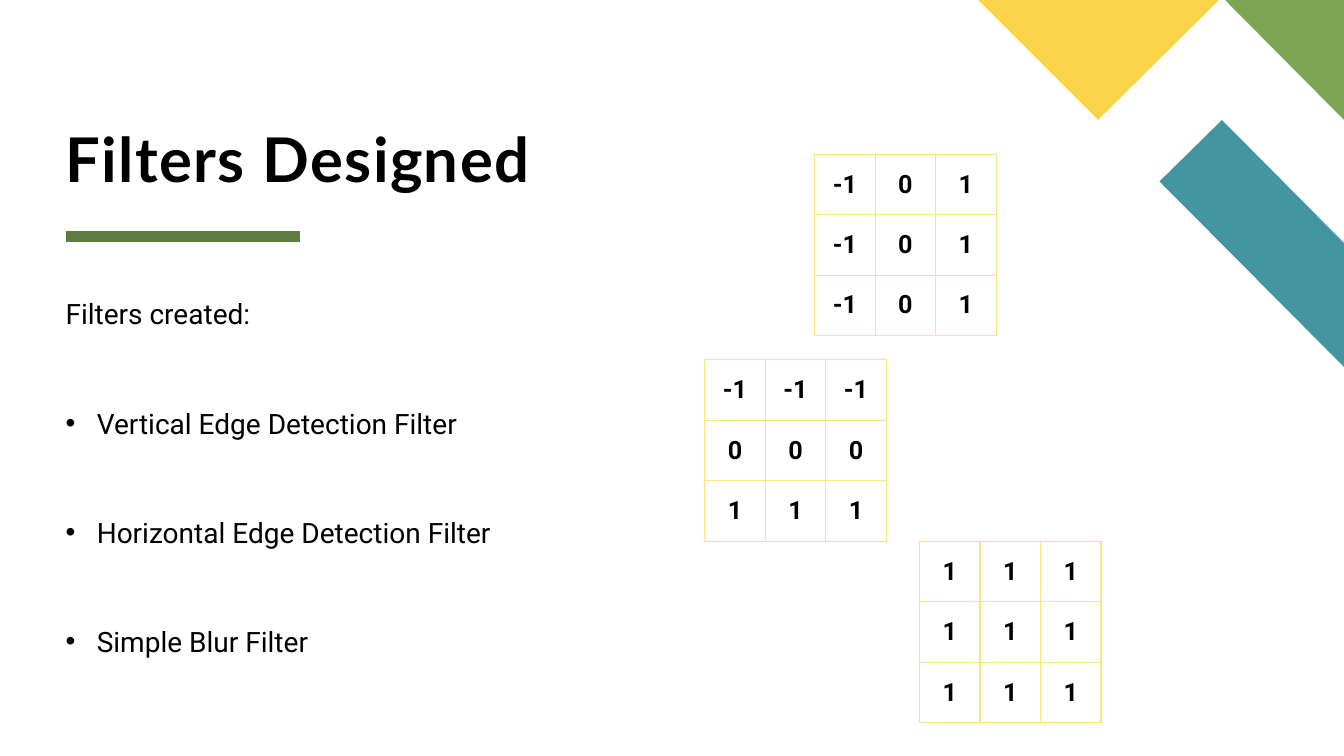
from lxml import etree
from pptx import Presentation
from pptx.dml.color import RGBColor
from pptx.enum.shapes import MSO_CONNECTOR
from pptx.enum.text import MSO_ANCHOR, MSO_AUTO_SIZE, PP_ALIGN
from pptx.oxml.ns import qn
from pptx.util import Inches, Pt

STRAIGHT = MSO_CONNECTOR.STRAIGHT
MIDDLE, BOTTOM = MSO_ANCHOR.MIDDLE, MSO_ANCHOR.BOTTOM
LEFT, CENTER = PP_ALIGN.LEFT, PP_ALIGN.CENTER
NO_AUTOFIT = MSO_AUTO_SIZE.NONE

BLACK = RGBColor(0x00, 0x00, 0x00)
WHITE = RGBColor(0xFF, 0xFF, 0xFF)
TEAL = RGBColor(0x44, 0x95, 0xA2)
GREEN = RGBColor(0x7C, 0xA6, 0x55)
DARK_GREEN = RGBColor(0x5D, 0x7D, 0x40)
YELLOW = RGBColor(0xF9, 0xD4, 0x48)
PALE_YELLOW = RGBColor(0xFB, 0xE2, 0x84)

WIDTH, HEIGHT = 13.33, 7.5
MARGIN = 0.65
CELL = 0.6
INDENT = 0.31

# Outlines in inches from the top left corner of the corner art
CORNER_LEFT = 9.7
CORNER_ART = [
    (TEAL, [(3.63, 3.64), (3.63, 2.41), (2.42, 1.19), (1.8, 1.8)]),
    (GREEN, [(3.63, 1.19), (3.63, 0), (2.45, 0)]),
    (YELLOW, [(0, 0), (1.19, 1.19), (2.39, 0)]),
]

FILTER_NAMES = ["Vertical Edge Detection Filter",
                "Horizontal Edge Detection Filter",
                "Simple Blur Filter"]

# Left, top and values of each filter kernel
KERNELS = [
    (6.99, 3.57, [[-1] * 3, [0] * 3, [1] * 3]),
    (8.08, 1.53, [[-1, 0, 1]] * 3),
    (9.12, 5.37, [[1] * 3] * 3),
]


def format_runs(para, font_name, size, bold=False):
    for span in para.runs:
        span.font.name = font_name
        span.font.size = Pt(size)
        span.font.bold = bold
        span.font.color.rgb = BLACK


def add_corner_art(page, left, top):
    for color, outline in CORNER_ART:
        points = [(Inches(left + x), Inches(top + y)) for x, y in outline]
        builder = page.shapes.build_freeform(*points[0], scale=1.0)
        builder.add_line_segments(points[1:], close=True)
        shape = builder.convert_to_shape()
        shape.shadow.inherit = False
        shape.fill.solid()
        shape.fill.fore_color.rgb = color
        shape.line.fill.background()


def add_title(page, left, top, width, height):
    title = page.shapes.title
    title.left, title.top = Inches(left), Inches(top)
    title.width, title.height = Inches(width), Inches(height)
    frame = title.text_frame
    frame.text = "Filters Designed"
    frame.word_wrap = True
    frame.auto_size = NO_AUTOFIT
    frame.vertical_anchor = BOTTOM
    frame.margin_left = frame.margin_right = 0
    frame.margin_top = frame.margin_bottom = 0
    para = frame.paragraphs[0]
    para.alignment = LEFT
    para.line_spacing = 0.8
    format_runs(para, "Lato", 44, bold=True)
    para.runs[0].font._element.set("spc", "100")


def add_rule(page, left, top, width):
    rule = page.shapes.add_connector(STRAIGHT, Inches(left), Inches(top),
                                     Inches(left + width), Inches(top))
    rule.line.color.rgb = DARK_GREEN
    rule.line.width = Pt(8)
    etree.SubElement(rule._element.spPr, qn("a:effectLst"))


def add_bullet(para):
    properties = para._p.get_or_add_pPr()
    properties.set("marL", str(Inches(INDENT)))
    properties.set("indent", str(-Inches(INDENT)))
    etree.SubElement(properties, qn("a:buFont"), typeface="Arial")
    etree.SubElement(properties, qn("a:buChar"), char="•")


def add_filter_list(page, left, top, width, height):
    box = page.shapes.add_textbox(Inches(left), Inches(top),
                                  Inches(width), Inches(height))
    frame = box.text_frame
    frame.word_wrap = True
    frame.margin_left = frame.margin_right = frame.margin_bottom = 0
    frame.margin_top = Inches(0.05)
    frame.text = "\n".join(["Filters created:"] + FILTER_NAMES)
    for index, para in enumerate(frame.paragraphs):
        para.line_spacing = 2.5 if index else 0.9
        para.space_before = Pt(18)
        format_runs(para, "Roboto", 20)
        if index:
            add_bullet(para)


def add_borders(cell):
    properties = cell._tc.get_or_add_tcPr()
    for side in ("lnL", "lnR", "lnT", "lnB"):
        line = etree.SubElement(properties, qn(f"a:{side}"), w=str(Pt(1)))
        fill = etree.SubElement(line, qn("a:solidFill"))
        etree.SubElement(fill, qn("a:srgbClr"), val=str(PALE_YELLOW))


def add_kernel(page, left, top, values):
    size = Inches(CELL * len(values))
    table = page.shapes.add_table(len(values), len(values[0]), Inches(left),
                                  Inches(top), size, size).table
    table.first_row = table.horz_banding = False
    for line in [*table.columns]:
        line.width = Inches(CELL)
    for row, numbers in zip(table.rows, values):
        row.height = Inches(CELL)
        for cell, number in zip(row.cells, numbers):
            add_borders(cell)
            cell.fill.solid()
            cell.fill.fore_color.rgb = WHITE
            cell.vertical_anchor = MIDDLE
            cell.text_frame.text = str(number)
            para = cell.text_frame.paragraphs[0]
            para.alignment = CENTER
            format_runs(para, "Roboto", 18, bold=True)


def build_filters_slide(deck):
    title_only = deck.slide_layouts[5]
    page = deck.slides.add_slide(title_only)
    page.background.fill.solid()
    page.background.fill.fore_color.rgb = WHITE
    add_corner_art(page, CORNER_LEFT, 0)
    add_rule(page, MARGIN, 2.35, 2.33)
    add_title(page, MARGIN, 0.3, 10.69, 1.63)
    add_filter_list(page, MARGIN, 2.93, 4.91, 3.93)
    for left, top, values in KERNELS:
        add_kernel(page, left, top, values)


def main():
    deck = Presentation()
    deck.slide_width, deck.slide_height = Inches(WIDTH), Inches(HEIGHT)
    build_filters_slide(deck)
    deck.save("out.pptx")


if __name__ == "__main__":
    main()
